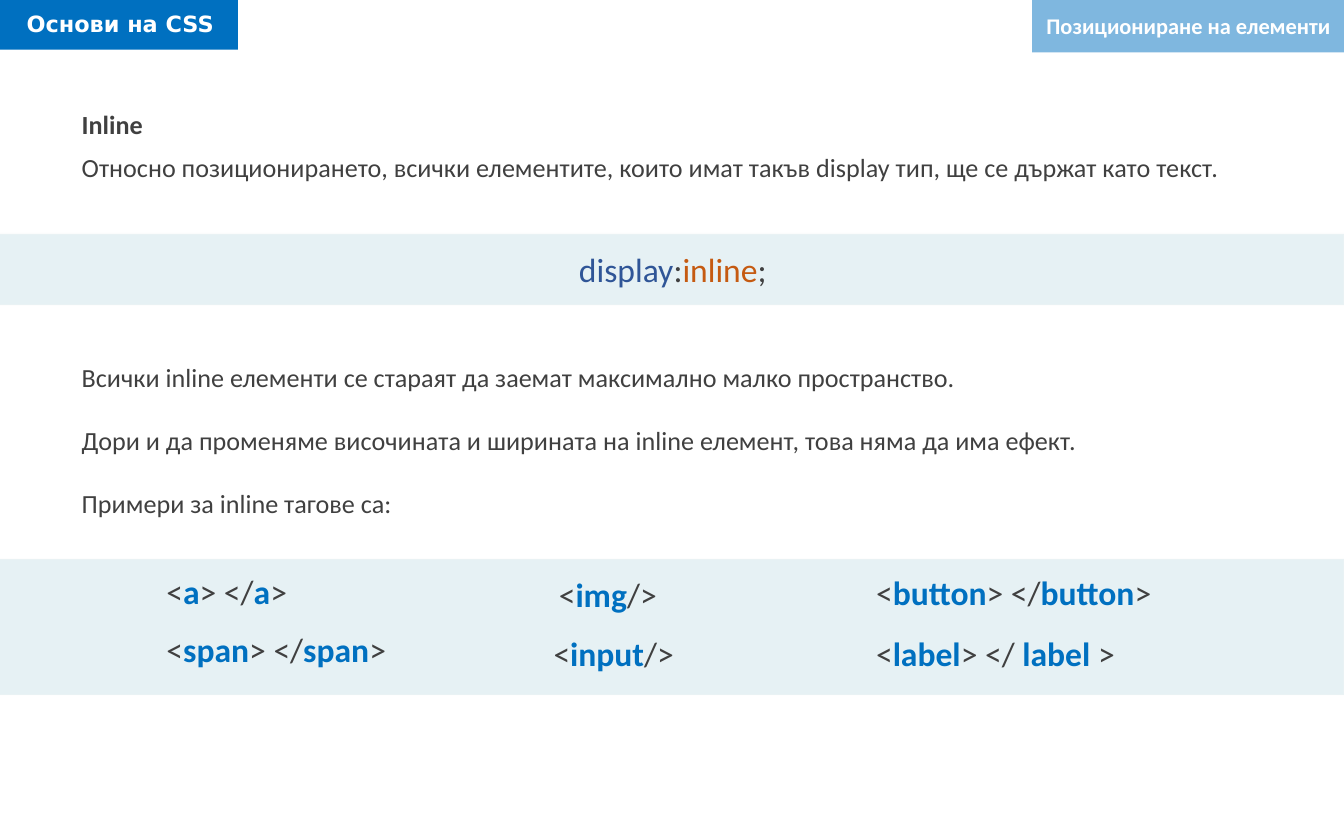
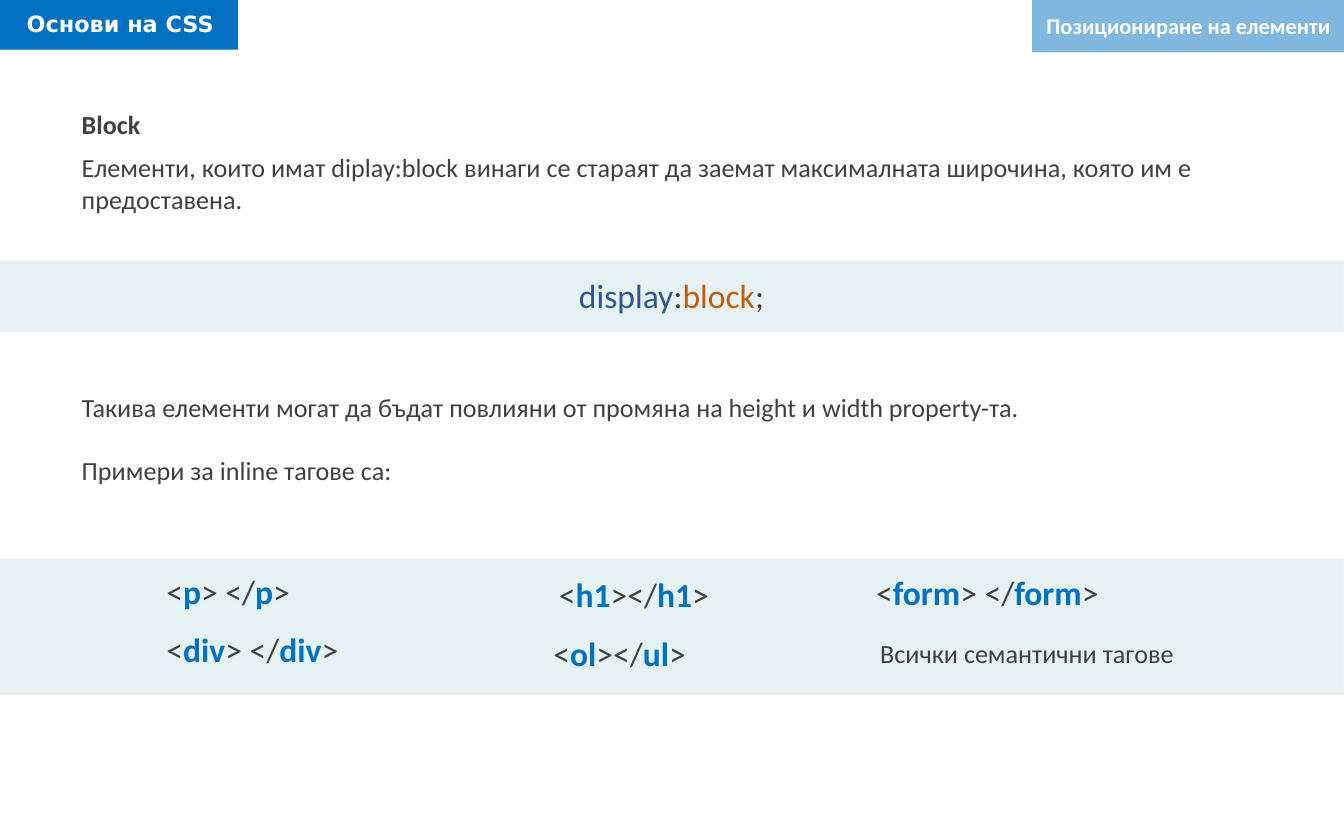
import pptx
import pptx.util
import pptx.dml.color
import pptx.enum.shapes
import pptx.enum.text
import pptx.oxml.ns
from lxml import etree

COLORS = {
    "blue": "0070C0", "teal": "127994", "edge": "F8F8F8", "white": "FFFFFF",
    "text": "404040", "property": "2F5597", "value": "C55A11",
}
RGB = {name: pptx.dml.color.RGBColor.from_string(c) for name, c in COLORS.items()}
qn = pptx.oxml.ns.qn

prs = pptx.Presentation()
prs.slide_width = pptx.util.Inches(10)
prs.slide_height = pptx.util.Inches(6.25)
COL = prs.slide_width / 100
ROW = prs.slide_height / 100


def add_rect(s, x, y, w, h, color, alpha=100, edge_alpha=None):
    sp = s.shapes.add_shape(pptx.enum.shapes.MSO_SHAPE.RECTANGLE,
                            int(x * COL), int(y * ROW), int(w * COL), int(h * ROW))
    sp.shadow.inherit = False
    sp.fill.solid()
    sp.fill.fore_color.rgb = RGB[color]
    alphas = [alpha]
    if edge_alpha is None:
        sp.line.fill.background()
    else:
        sp.line.color.rgb = RGB["edge"]
        sp.line.width = pptx.util.Pt(1)
        alphas.append(edge_alpha)
    for clr, share in zip(sp._element.spPr.iter(qn("a:srgbClr")), alphas):
        if share < 100:
            etree.SubElement(clr, qn("a:alpha")).set("val", str(share * 1000))


def add_text(s, x, y, w, h, paragraphs, size=14, color="text", bold=False,
             font="Calibri", wrap=True, align="LEFT", gap=0):
    sp = s.shapes.add_textbox(int(x * COL), int(y * ROW), int(w * COL), int(h * ROW))
    tf = sp.text_frame
    tf.word_wrap = wrap
    tf.auto_size = pptx.enum.text.MSO_AUTO_SIZE.SHAPE_TO_FIT_TEXT
    for i, runs in enumerate(paragraphs):
        p = tf.add_paragraph() if i else tf.paragraphs[0]
        p.alignment = pptx.enum.text.PP_ALIGN[align]
        if i:
            p.space_before = pptx.util.Pt(gap)
        p.font.name = font
        p.font.size = pptx.util.Pt(size)
        p.font.bold = bold
        p.font.color.rgb = RGB[color]
        for text, run_color, run_bold in runs:
            r = p.add_run()
            r.text = text
            if run_color != color:
                r.font.color.rgb = RGB[run_color]
            if run_bold != bold:
                r.font.bold = run_bold


SLIDES = [
    {
        "title": "Inline",
        "intro": "Относно позиционирането, всички елементите, които имат такъв display тип, ще се държат като текст.",
        "intro_h": 5.44, "band_y": 27.84, "value": "inline", "body_y": 42.24, "body_h": 20.48,
        "body": ["Всички inline елементи се стараят да заемат максимално малко пространство.",
                 "Дори и да променяме височината и ширината на inline елемент, това няма да има ефект.",
                 "Примери за inline тагове са:"],
        "tags": [("<*a*> </*a*>", 11.3), ("<*span*> </*span*>", 18.5),
                 ("<*img*/>", 9.4), ("<*input*/>", 11.1),
                 ("<*button*> </*button*>", 22.8), ("<*label*> </* label *>", 20)],
    },
    {
        "title": "Block",
        "intro": "Елементи, които имат diplay:block винаги се стараят да заемат максималната широчина, която им е предоставена.",
        "intro_h": 9.12, "band_y": 31.04, "value": "block", "body_y": 45.76, "body_h": 12.96,
        "body": ["Такива елементи могат да бъдат повлияни от промяна на height и width property-та.",
                 "Примери за inline тагове са:"],
        "tags": [("<*p*> </*p*>", 11.3), ("<*div*> </*div*>", 14.9),
                 ("<*h1*></*h1*>", 13.3), ("<*ol*></*ul*>", 12),
                 ("<*form*> </*form*>", 18.8), ("Всички семантични тагове", 24.1)],
    },
]
TAG_SPOTS = [(11.4, 67.2), (11.4, 74.08), (40.6, 67.52), (40.2, 74.56), (64.2, 67.36), (64.2, 74.56)]

for page in SLIDES:
    s = prs.slides.add_slide(prs.slide_layouts[6])

    add_rect(s, -0.1, 66.56, 100.1, 16.16, "teal", 10, 16)
    add_rect(s, 0, -0.32, 17.7, 6.24, "blue")
    add_text(s, 1, 0.48, 16.7, 4.8, [[("Основи на CSS", "white", True)]],
             12, "white", True, "DejaVu Sans")
    add_rect(s, 76.8, 0, 23.2, 6.24, "blue", 50)
    add_text(s, 76.8, 0.64, 23.2, 4.8, [[("Позициониране на елементи", "white", True)]],
             12, "white", True, align="RIGHT")

    add_text(s, 5.1, 12.16, 90.6, 5.44, [[(page["title"], "text", True)]], bold=True)
    add_text(s, 5.1, 17.28, 90.6, page["intro_h"], [[(page["intro"], "text", False)]])

    add_rect(s, -0.1, page["band_y"], 100.1, 8.48, "teal", 10, 16)
    rule = [("display", "property", False), (":", "text", False),
            (page["value"], "value", False), (";", "text", False)]
    add_text(s, 42.1, page["band_y"] + 0.96, 16, 6.4, [rule], 18, wrap=False)

    add_text(s, 5.1, page["body_y"], 90.6, page["body_h"],
             [[(line, "text", False)] for line in page["body"]], gap=17)

    for (x, y), (tag, w) in zip(TAG_SPOTS, page["tags"]):
        if "*" in tag:
            runs = [(part, "blue" if i % 2 else "text", i % 2 == 1)
                    for i, part in enumerate(tag.split("*"))]
            add_text(s, x, y, w, 6.4, [runs], 18, wrap=False)
        else:
            add_text(s, x + 0.3, y + 0.48, w, 5.44, [[(tag, "text", False)]], wrap=False)

prs.save("out.pptx")
